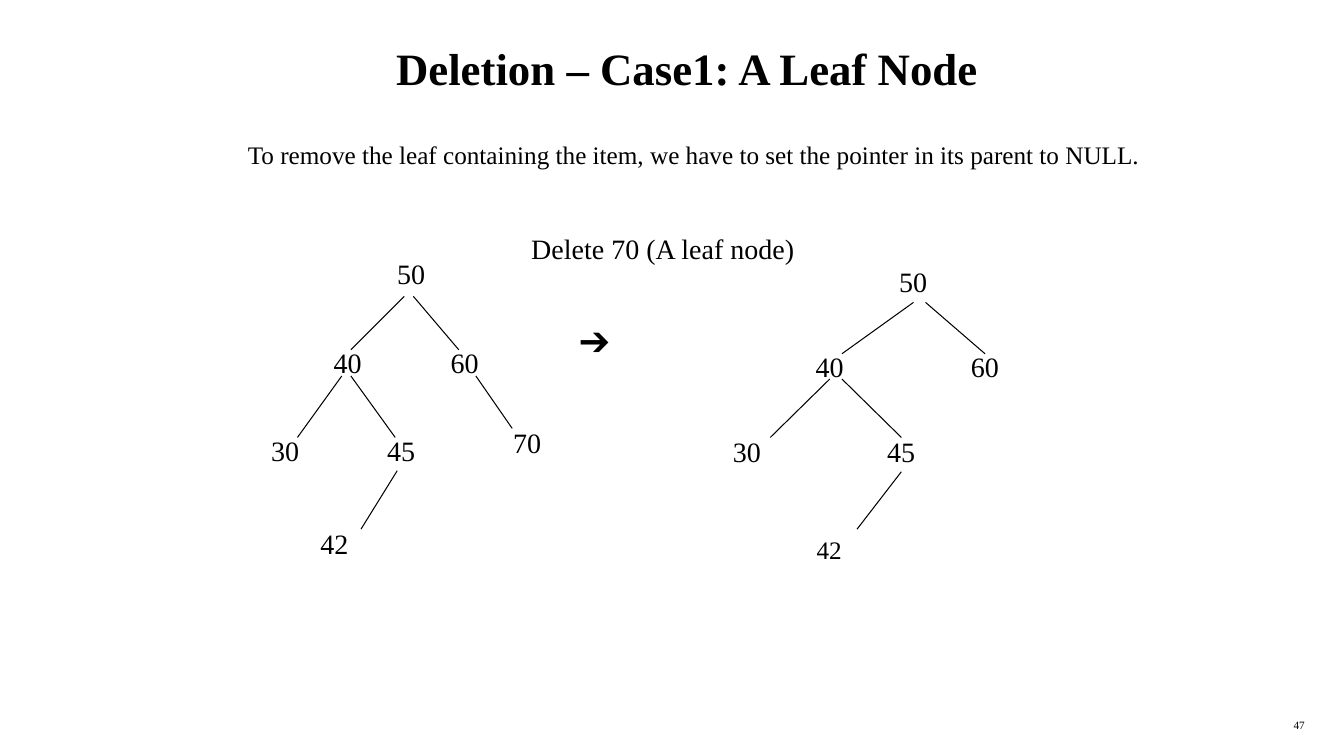
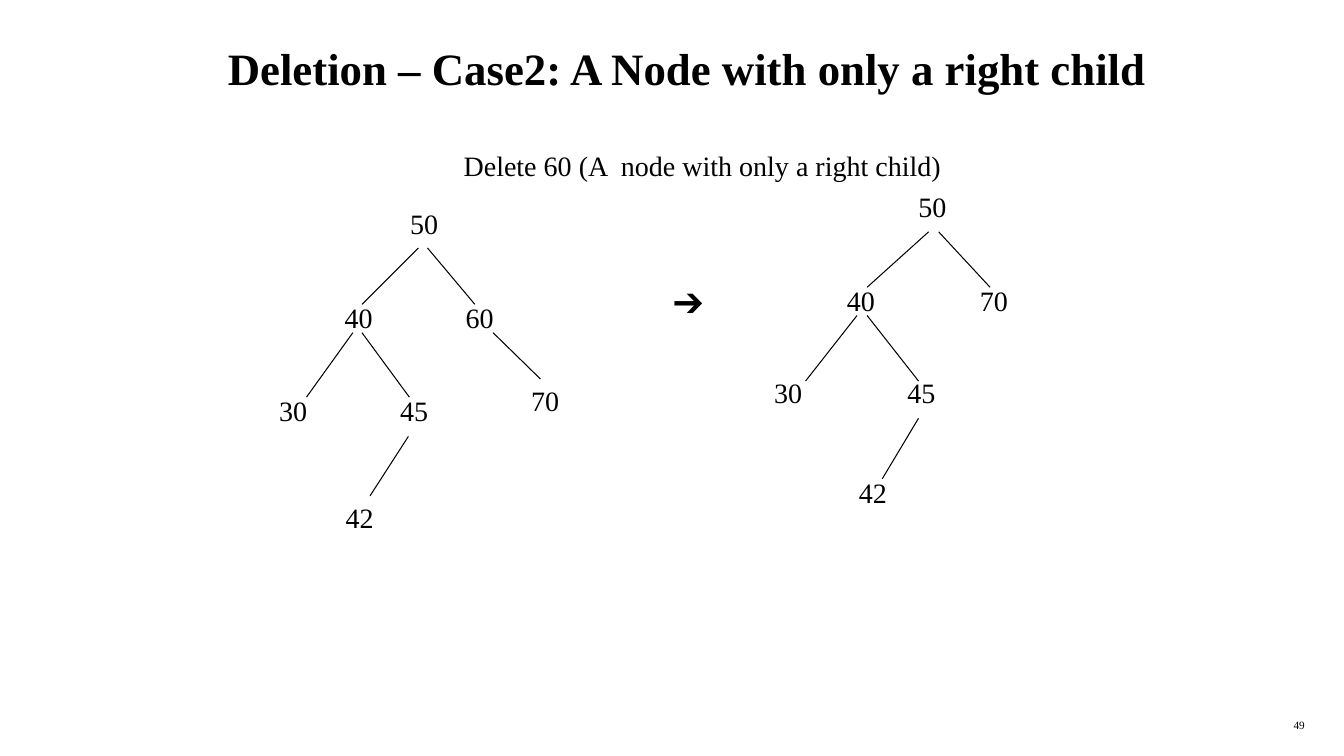
from pptx import Presentation
from pptx.dml.color import RGBColor
from pptx.enum.text import MSO_ANCHOR, MSO_AUTO_SIZE, PP_ALIGN
from pptx.oxml.ns import qn
from pptx.util import Inches, Pt

FONT = "Times New Roman"
INK = RGBColor.from_string("000000")
NODE_WIDTH, NODE_HEIGHT = 0.48, 0.43

# Each tree: nodes as (value, left, top), edges as (x1, y1, x2, y2)
SLIDES = [
    {
        "title": "Deletion – Case1: A Leaf Node",
        "number": "47",
        "captions": [
            ("To remove the leaf containing the item, we have to set the pointer in its parent to NULL.",
             2.36, 1.33, 9.14, 0.4, 18),
            ("Delete 70 (A leaf node)", 5.17, 2.25, 2.82, 0.43, 20),
        ],
        "arrow": (5.65, 3.13),
        "trees": [
            {
                "nodes": [("50", 3.84, 2.5), ("40", 3.21, 3.38), ("60", 4.37, 3.38),
                          ("30", 2.59, 4.25), ("45", 3.74, 4.25), ("70", 4.99, 4.17),
                          ("42", 3.08, 5.17)],
                "edges": [(4.01, 2.94, 3.48, 3.47), (4.1, 2.94, 4.55, 3.47),
                          (3.39, 3.73, 2.95, 4.34), (3.48, 3.73, 3.92, 4.34),
                          (4.72, 3.73, 5.08, 4.25), (3.94, 4.67, 3.58, 5.25)],
            },
            {
                "nodes": [("50", 8.82, 2.58), ("40", 7.99, 3.42), ("60", 9.53, 3.42),
                          ("30", 7.17, 4.26), ("45", 8.7, 4.26), ("42", 8, 5.25)],
                "edges": [(9.06, 3, 8.35, 3.51), (9.18, 3, 9.77, 3.51),
                          (8.23, 3.76, 7.64, 4.34), (8.35, 3.76, 8.94, 4.34),
                          (8.94, 4.68, 8.5, 5.25)],
                "last_size": 18,
            },
        ],
    },
    {
        "title": "Deletion – Case2: A Node with only a right child",
        "number": "49",
        "captions": [
            ("Delete 60 (A  node with only a right child)", 4.5, 1.42, 4.94, 0.43, 20),
        ],
        "arrow": (6.58, 2.75),
        "trees": [
            {
                "nodes": [("50", 3.97, 2), ("40", 3.32, 2.93), ("60", 4.52, 2.93),
                          ("30", 2.67, 3.85), ("45", 3.87, 3.85), ("70", 5.17, 3.76),
                          ("42", 3.33, 4.92)],
                "edges": [(4.15, 2.46, 3.59, 3.02), (4.24, 2.46, 4.71, 3.02),
                          (3.5, 3.3, 3.04, 3.94), (3.59, 3.3, 4.06, 3.94),
                          (4.89, 3.3, 5.36, 3.76), (4.05, 4.33, 3.67, 4.92)],
            },
            {
                "nodes": [("50", 9.01, 1.83), ("40", 8.3, 2.76), ("70", 9.62, 2.76),
                          ("30", 7.58, 3.68), ("45", 8.9, 3.68), ("42", 8.42, 4.67)],
                "edges": [(9.21, 2.3, 8.6, 2.85), (9.31, 2.3, 9.82, 2.85),
                          (8.5, 3.13, 7.99, 3.78), (8.6, 3.13, 9.11, 3.78),
                          (9.11, 4.15, 8.75, 4.75)],
            },
        ],
    },
]


def add_text(page, text, left, top, width, height, size, align=None):
    """Add a line of text; a box without alignment fits its text."""
    box = page.shapes.add_textbox(Inches(left), Inches(top), Inches(width), Inches(height))
    frame = box.text_frame
    frame.text = text
    frame.word_wrap = align is not None
    frame.auto_size = MSO_AUTO_SIZE.NONE if align else MSO_AUTO_SIZE.SHAPE_TO_FIT_TEXT
    para = frame.paragraphs[0]
    para.alignment = align or PP_ALIGN.LEFT
    font = para.runs[0].font
    font.name, font.size, font.color.rgb = FONT, Pt(size), INK
    return box


def add_edge(page, *ends):
    line = page.shapes.add_connector(1, *[Inches(value) for value in ends])
    line.line.color.rgb = INK
    line.line.width = Pt(0.75)
    properties = line._element.spPr
    properties.append(properties.makeelement(qn("a:effectLst"), {}))


deck = Presentation()
deck.slide_width, deck.slide_height = Inches(13.33), Inches(7.5)

for content in SLIDES:
    page = deck.slides.add_slide(deck.slide_layouts[6])

    # Title and page number
    title = add_text(page, content["title"], 0.51, 0.17, 12.61, 1, 32, PP_ALIGN.CENTER)
    title.text_frame.vertical_anchor = MSO_ANCHOR.MIDDLE
    title.text_frame.paragraphs[0].runs[0].font.bold = True
    add_text(page, content["number"], 10.26, 7.08, 2.78, 0.25, 8, PP_ALIGN.RIGHT)

    # Captions and the arrow between the trees
    for caption in content["captions"]:
        add_text(page, *caption)
    add_text(page, "➔", *content["arrow"], 0.56, 0.5, 24)

    # Trees before and after the deletion
    for tree in content["trees"]:
        for edge in tree["edges"]:
            add_edge(page, *edge)
        sizes = [20] * (len(tree["nodes"]) - 1) + [tree.get("last_size", 20)]
        for node, size in zip(tree["nodes"], sizes):
            add_text(page, *node, NODE_WIDTH, NODE_HEIGHT, size)

deck.save("out.pptx")
